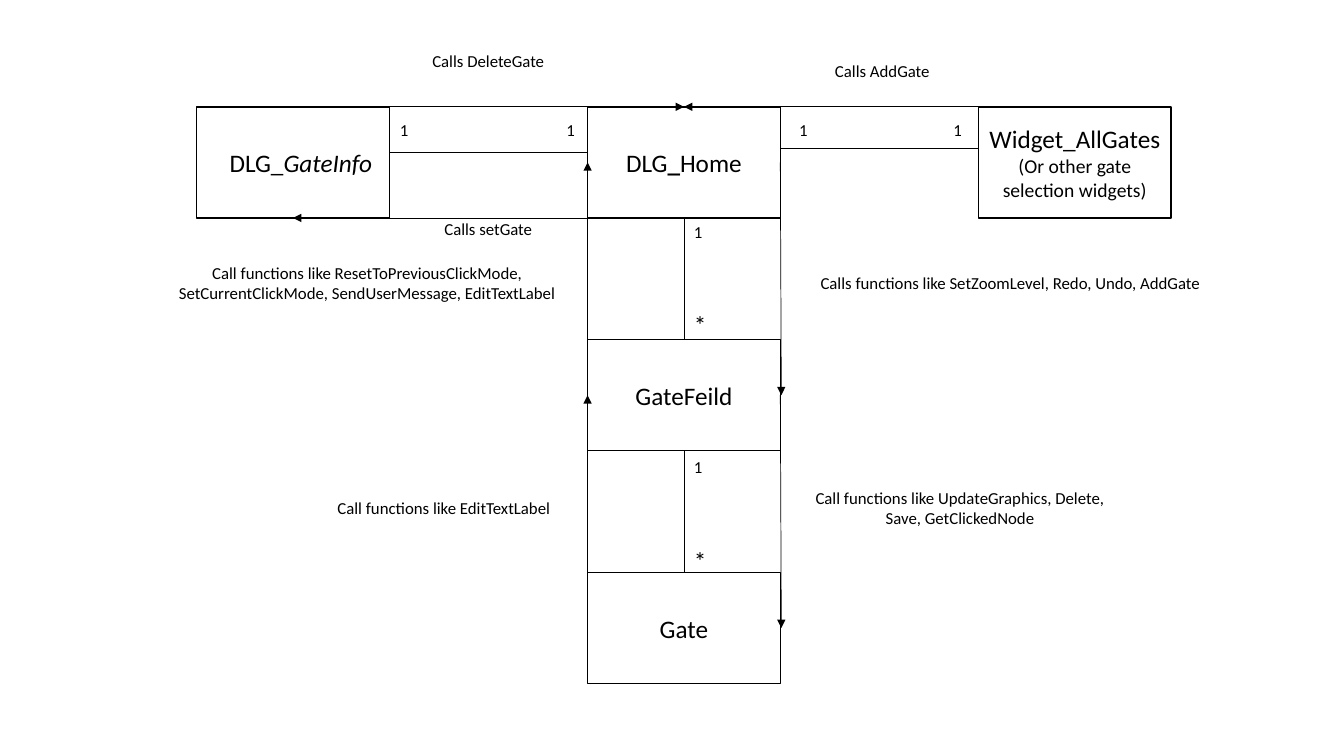
"""Build a slide with a class diagram of the gate editor."""
from dataclasses import dataclass

from lxml import etree
from pptx import Presentation
from pptx.dml.color import RGBColor
from pptx.enum.shapes import MSO_CONNECTOR, MSO_SHAPE
from pptx.enum.text import MSO_ANCHOR, PP_ALIGN
from pptx.oxml.ns import qn
from pptx.slide import Slide
from pptx.text.text import TextFrame
from pptx.util import Pt

BLACK = RGBColor(0, 0, 0)
WHITE = RGBColor(255, 255, 255)
RECTANGLE = MSO_SHAPE.RECTANGLE
STRAIGHT = MSO_CONNECTOR.STRAIGHT
MIDDLE = MSO_ANCHOR.MIDDLE
CENTER, LEFT = PP_ALIGN.CENTER, PP_ALIGN.LEFT

FONT = "Calibri"
BOX_W, BOX_H = 137.7, 79.4
HOME_X, HOME_Y = 419.7, 76.3
COL_STEP, ROW_STEP = 279.2, 166.3
LABEL_W, MULTIPLICITY_W = 300.2, 26


@dataclass(frozen=True)
class Run:
    text: str
    size: float = 18
    bold: bool = False
    italic: bool = False


@dataclass(frozen=True)
class Box:
    col: int
    row: int
    paragraphs: list[list[Run]]
    inset: float = 7.2


@dataclass(frozen=True)
class Label:
    x: float
    y: float
    lines: list[str]
    size: float = 12
    width: float = LABEL_W
    align: PP_ALIGN = CENTER


@dataclass(frozen=True)
class Line:
    x1: float
    y1: float
    x2: float
    y2: float
    arrow: bool = False


def col_x(col: int) -> float:
    """Return the left edge of a column, counted from the home box."""
    return HOME_X + col * COL_STEP


def row_y(row: int) -> float:
    """Return the top edge of a row."""
    return HOME_Y + row * ROW_STEP


MID_X, RIGHT_X = HOME_X + BOX_W / 2, HOME_X + BOX_W
HOME_BOTTOM = HOME_Y + BOX_H

BOXES = [
    Box(0, 2, [[Run("Gate")]]),
    Box(0, 1, [[Run("GateFeild")]]),
    Box(0, 0, [[Run("DLG"), Run("_", bold=True), Run("Home")]]),
    Box(-1, 0, [[Run("DLG_"), Run("GateInfo", italic=True)]], inset=18.3),
    Box(1, 0, [[Run("Widget_AllGates")],
               [Run("(Or other gate selection widgets)", 14)]]),
]

LABELS = [
    Label(198.7, 32.4, ["Calls DeleteGate"]),
    Label(480.2, 39.6, ["Calls AddGate"]),
    Label(198.7, 152.6, ["Calls setGate"]),
    Label(112.3, 184.3, ["Call functions like ResetToPreviousClickMode, "
                         "SetCurrentClickMode, SendUserMessage, EditTextLabel"]),
    Label(571.7, 191.5, ["Calls functions like SetZoomLevel, Redo, Undo, AddGate"]),
    Label(167, 352.1, ["Call functions like EditTextLabel"]),
    Label(535.7, 344.9, ["Call functions like UpdateGraphics, Delete,",
                         "Save, GetClickedNode"]),
]
MULTIPLICITIES = [
    Label(x, 82.1, ["1"], 12, MULTIPLICITY_W, LEFT) for x in (278.6, 397.4, 563.8, 673.9)
] + [
    Label(MID_X, y, [text], size, MULTIPLICITY_W, LEFT)
    for text, size, y in (("1", 12, 155), ("*", 18, 217.4), ("1", 12, 322.6), ("*", 18, 385.9))
]

ASSOCIATIONS = [
    Line(HOME_X, 108.9, col_x(-1) + BOX_W, 108.9),
    Line(col_x(1), 106.1, RIGHT_X, 106.1),
] + [Line(MID_X, row_y(row) + BOX_H, MID_X, row_y(row + 1)) for row in (0, 1)]
CALLS = [
    Line(col_x(-1) + BOX_W / 2, HOME_Y, MID_X, HOME_Y, True),
    Line(col_x(1) + BOX_W / 2, HOME_Y, MID_X, HOME_Y, True),
    Line(MID_X, HOME_BOTTOM, col_x(-1) + BOX_W / 2, HOME_BOTTOM, True),
]
for upper in (0, 1):
    top, bottom = row_y(upper) + BOX_H / 2, row_y(upper + 1) + BOX_H / 2
    CALLS += [Line(HOME_X, bottom, HOME_X, top, True),
              Line(RIGHT_X, top, RIGHT_X + 0.7, bottom, True)]


def add_text(tf: TextFrame, paragraphs: list[list[Run]], align: PP_ALIGN) -> None:
    """Fill a text frame run by run."""
    tf.word_wrap = True
    for i, runs in enumerate(paragraphs):
        p = tf.paragraphs[0] if i == 0 else tf.add_paragraph()
        p.alignment = align
        for run in runs:
            r = p.add_run()
            r.text = run.text
            r.font.name = FONT
            r.font.size = Pt(run.size)
            r.font.bold = run.bold
            r.font.italic = run.italic
            r.font.color.rgb = BLACK


def add_box(s: Slide, box: Box) -> None:
    """Draw a class box."""
    sp = s.shapes.add_shape(RECTANGLE, Pt(col_x(box.col)), Pt(row_y(box.row)),
                            Pt(BOX_W), Pt(BOX_H))
    sp.shadow.inherit = False
    sp.fill.solid()
    sp.fill.fore_color.rgb = WHITE
    sp.line.color.rgb = BLACK
    sp.line.width = Pt(1)
    tf = sp.text_frame
    tf.vertical_anchor = MIDDLE
    tf.margin_left = Pt(box.inset)
    add_text(tf, box.paragraphs, CENTER)


def add_label(s: Slide, label: Label) -> None:
    """Place a text label."""
    height = 7.2 + 1.2 * label.size * len(label.lines)
    sp = s.shapes.add_textbox(Pt(label.x), Pt(label.y), Pt(label.width), Pt(height))
    add_text(sp.text_frame, [[Run(text, label.size)] for text in label.lines], label.align)


def add_line(s: Slide, line: Line) -> None:
    """Draw an association or a call arrow."""
    sp = s.shapes.add_connector(STRAIGHT, Pt(line.x1), Pt(line.y1), Pt(line.x2), Pt(line.y2))
    sp.line.color.rgb = BLACK
    sp.line.width = Pt(0.5)
    if line.arrow:
        etree.SubElement(sp.line._get_or_add_ln(), qn("a:tailEnd"), type="triangle")
    etree.SubElement(sp._element.spPr, qn("a:effectLst"))


def main() -> None:
    """Build and save the slide."""
    prs = Presentation()
    prs.slide_width, prs.slide_height = Pt(960), Pt(540)
    s = prs.slides.add_slide(prs.slide_layouts[6])
    for box in BOXES:
        add_box(s, box)
    for line in ASSOCIATIONS + CALLS:
        add_line(s, line)
    for label in LABELS + MULTIPLICITIES:
        add_label(s, label)
    prs.save("out.pptx")


if __name__ == "__main__":
    main()
